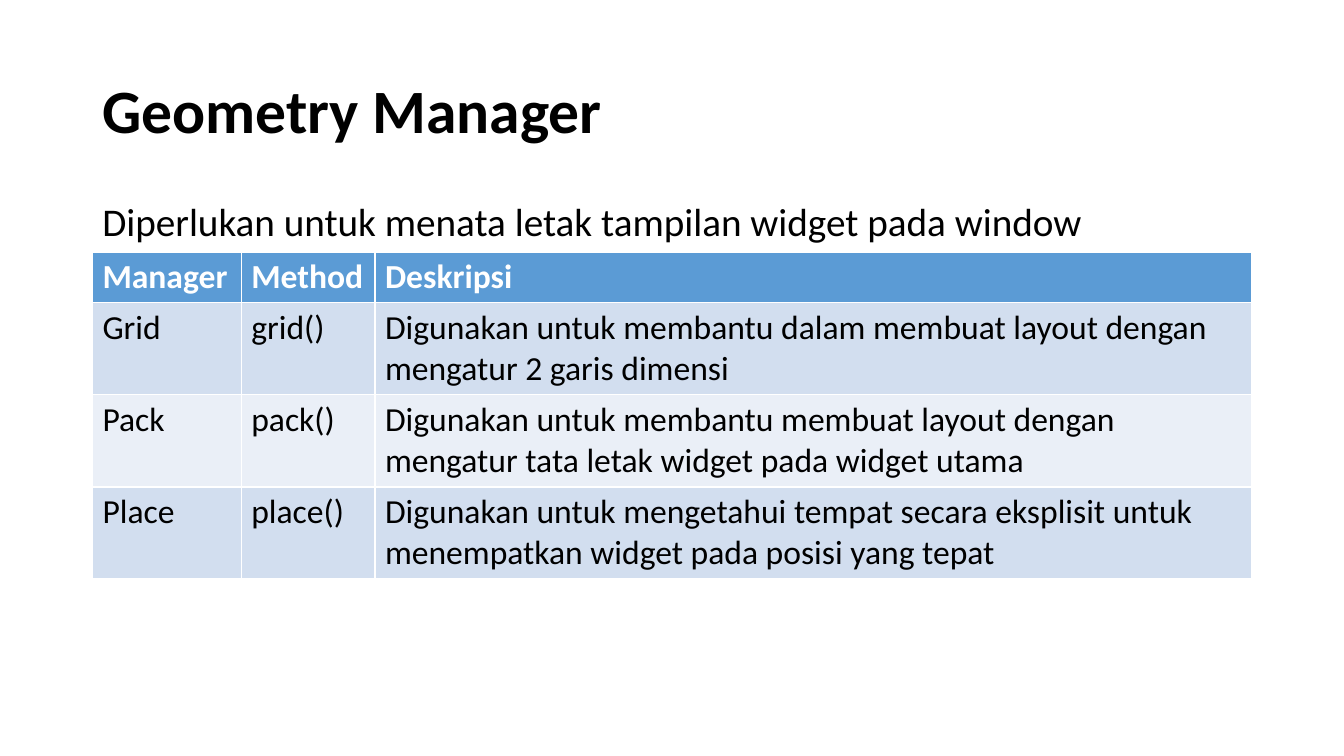
from dataclasses import dataclass

import pptx
import pptx.dml.color
import pptx.enum.text
import pptx.slide
import pptx.table
import pptx.text.text
import pptx.util
from pptx.dml.color import RGBColor
from pptx.util import Cm

FONT = "Calibri"
BLACK = RGBColor(0x00, 0x00, 0x00)
WHITE = RGBColor(0xFF, 0xFF, 0xFF)
HEADER_BLUE = RGBColor(0x5B, 0x9B, 0xD5)
BAND_COLORS = (RGBColor(0xD2, 0xDE, 0xEF), RGBColor(0xEA, 0xEF, 0xF7))

LEFT = Cm(2.33)
WIDTH = Cm(29.21)
COLUMN_WIDTHS = (Cm(3.75), Cm(3.37), Cm(22.09))
HEADER_HEIGHT = Cm(1.28)
MANAGER_HEIGHT = Cm(2.32)


@dataclass(frozen=True)
class Heading:
    text: str
    top: float
    height: float
    size: float
    bold: bool
    line_spacing: float
    space_before: float
    anchor: pptx.enum.text.MSO_ANCHOR


@dataclass(frozen=True)
class Manager:
    name: str
    method: str
    description: str


HEADINGS = (
    Heading("Geometry Manager", 1.02, 3.68, 44, True, 0.9, 0,
            pptx.enum.text.MSO_ANCHOR.MIDDLE),
    Heading("Diperlukan untuk menata letak tampilan widget pada window",
            5.08, 1.27, 28, False, 0.8, 10, pptx.enum.text.MSO_ANCHOR.TOP),
)
COLUMN_TITLES = Manager("Manager", "Method", "Deskripsi")
MANAGERS = (
    Manager("Grid", "grid()",
            "Digunakan untuk membantu dalam membuat layout dengan "
            "mengatur 2 garis dimensi"),
    Manager("Pack", "pack()",
            "Digunakan untuk membantu membuat layout dengan "
            "mengatur tata letak widget pada widget utama"),
    Manager("Place", "place()",
            "Digunakan untuk mengetahui tempat secara eksplisit untuk "
            "menempatkan widget pada posisi yang tepat"),
)


def format_runs(paragraph: pptx.text.text._Paragraph, size: float,
                color: RGBColor, bold: bool) -> None:
    for run in paragraph.runs:
        run.font.name = FONT
        run.font.size = pptx.util.Pt(size)
        run.font.bold = bold
        run.font.color.rgb = color


def draw_heading(slide: pptx.slide.Slide, heading: Heading) -> None:
    frame = slide.shapes.add_textbox(
        LEFT, Cm(heading.top), WIDTH, Cm(heading.height)).text_frame
    frame.word_wrap = True
    frame.vertical_anchor = heading.anchor
    frame.text = heading.text
    paragraph = frame.paragraphs[0]
    paragraph.line_spacing = heading.line_spacing
    paragraph.space_before = pptx.util.Pt(heading.space_before)
    format_runs(paragraph, heading.size, BLACK, heading.bold)


def fill_row(row: pptx.table._Row, manager: Manager, height: pptx.util.Length,
             fill: RGBColor, color: RGBColor, bold: bool) -> None:
    row.height = height
    texts = (manager.name, manager.method, manager.description)
    for cell, text in zip(row.cells, texts):
        cell.fill.solid()
        cell.fill.fore_color.rgb = fill
        cell.text_frame.text = text
        format_runs(cell.text_frame.paragraphs[0], 24, color, bold)


def draw_managers(slide: pptx.slide.Slide) -> None:
    table = slide.shapes.add_table(
        len(MANAGERS) + 1, len(COLUMN_WIDTHS), LEFT, Cm(6.35), WIDTH,
        HEADER_HEIGHT + len(MANAGERS) * MANAGER_HEIGHT).table
    for column, width in zip(table.columns, COLUMN_WIDTHS):
        column.width = width
    fill_row(table.rows[0], COLUMN_TITLES, HEADER_HEIGHT, HEADER_BLUE, WHITE, True)
    for index, manager in enumerate(MANAGERS):
        band = BAND_COLORS[index % len(BAND_COLORS)]
        fill_row(table.rows[index + 1], manager, MANAGER_HEIGHT, band, BLACK, False)


def main() -> None:
    presentation = pptx.Presentation()
    presentation.slide_width = Cm(33.87)
    presentation.slide_height = Cm(19.05)
    slide = presentation.slides.add_slide(presentation.slide_layouts[6])
    for heading in HEADINGS:
        draw_heading(slide, heading)
    draw_managers(slide)
    presentation.save("out.pptx")


if __name__ == "__main__":
    main()
